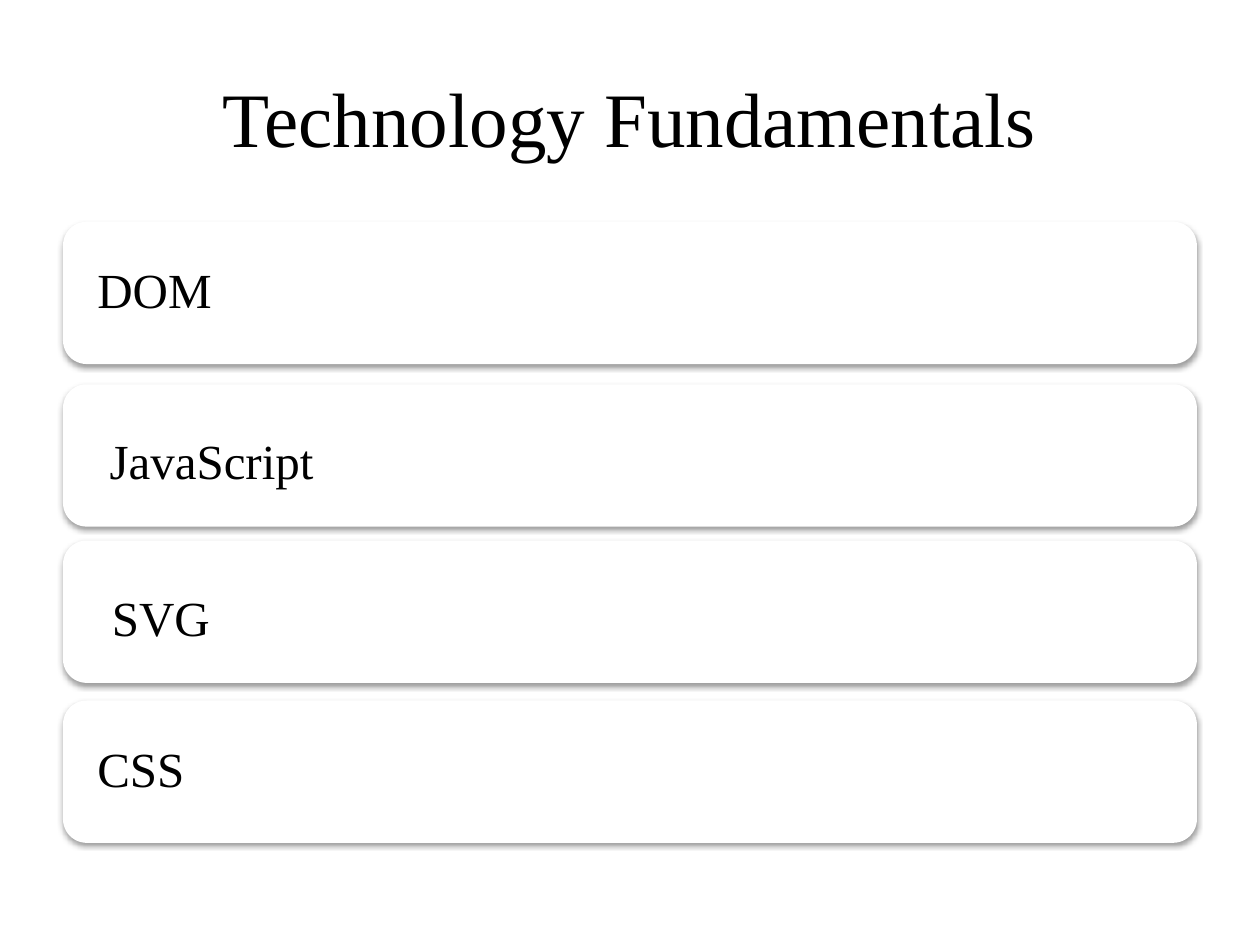
import pptx
import pptx.dml.color
import pptx.enum.shapes
import pptx.enum.text
import pptx.oxml
import pptx.oxml.ns
import pptx.util

THEME = {
    "ink": pptx.dml.color.RGBColor.from_string("000000"),
    "card": pptx.dml.color.RGBColor.from_string("FFFFFF"),
    "serif": "Times New Roman",
    "sans": "Calibri",
    "title": 44,
    "label": 28,
}

deck = pptx.Presentation()
deck.slide_width = pptx.util.Inches(10)
deck.slide_height = pptx.util.Inches(7.5)
slide = deck.slides.add_slide(deck.slide_layouts[6])

# Grid of 100 columns by 75 rows
COLUMN = deck.slide_width / 100
ROW = deck.slide_height / 75
MARGIN, CARD_WIDTH, CARD_HEIGHT = 5, 90, 11.3
INSET = 0.55


def grid_box(left, top, width, height):
    return [int(left * COLUMN), int(top * ROW), int(width * COLUMN), int(height * ROW)]


def add_text(box, runs, padding, align, spacing):
    frame = slide.shapes.add_textbox(*box).text_frame
    frame_format = {
        "word_wrap": True,
        "vertical_anchor": pptx.enum.text.MSO_ANCHOR.MIDDLE,
        **{f"margin_{side}": pptx.util.Inches(padding)
           for side in ("left", "top", "right", "bottom")},
    }
    for name, value in frame_format.items():
        setattr(frame, name, value)
    line = frame.paragraphs[0]
    line.alignment, line.line_spacing = align, spacing
    for words, size, face in runs:
        run = line.add_run()
        run.text = words
        for name, value in {"size": pptx.util.Pt(size), "name": face}.items():
            setattr(run.font, name, value)
        run.font.color.rgb = THEME["ink"]


# Title
add_text(grid_box(MARGIN, 3, CARD_WIDTH, 12.5),
         [("Technology Fundamentals", THEME["title"], THEME["serif"])],
         0.1, pptx.enum.text.PP_ALIGN.CENTER, 1.0)

# Technologies: top row, text padding, runs
label = (THEME["label"], THEME["serif"])
technologies = [
    (17.6, 0.12, [(" DOM", *label)]),
    (30.5, 0.18, [(" ", 43, THEME["sans"]), ("JavaScript", *label)]),
    (42.9, 0.18, [(" ", 44, THEME["serif"]), ("SVG", *label)]),
    (55.6, 0.12, [(" CSS", *label)]),
]

SOFT_SHADOW = (
    f'<a:effectLst {pptx.oxml.ns.nsdecls("a")}>'
    f'<a:outerShdw blurRad="{pptx.util.Pt(3.1)}" dist="{pptx.util.Pt(1.6)}" '
    'dir="5400000" rotWithShape="0">'
    f'<a:srgbClr val="{THEME["ink"]}"><a:alpha val="38000"/></a:srgbClr>'
    '</a:outerShdw></a:effectLst>'
)

for top, padding, runs in technologies:
    # Card with a soft shadow below
    card = slide.shapes.add_shape(
        pptx.enum.shapes.MSO_SHAPE.ROUNDED_RECTANGLE,
        *grid_box(MARGIN, top, CARD_WIDTH, CARD_HEIGHT))
    card.fill.solid()
    card.fill.fore_color.rgb = THEME["card"]
    card.line.fill.background()
    card.shadow.inherit = False
    shape_format = card.element.spPr
    shape_format.replace(shape_format.find(pptx.oxml.ns.qn("a:effectLst")),
                         pptx.oxml.parse_xml(SOFT_SHADOW))

    # Label inside the card
    add_text(grid_box(MARGIN + INSET, top + INSET,
                      CARD_WIDTH - 2 * INSET, CARD_HEIGHT - 2 * INSET),
             runs, padding, pptx.enum.text.PP_ALIGN.LEFT, 0.9)

deck.save("out.pptx")
